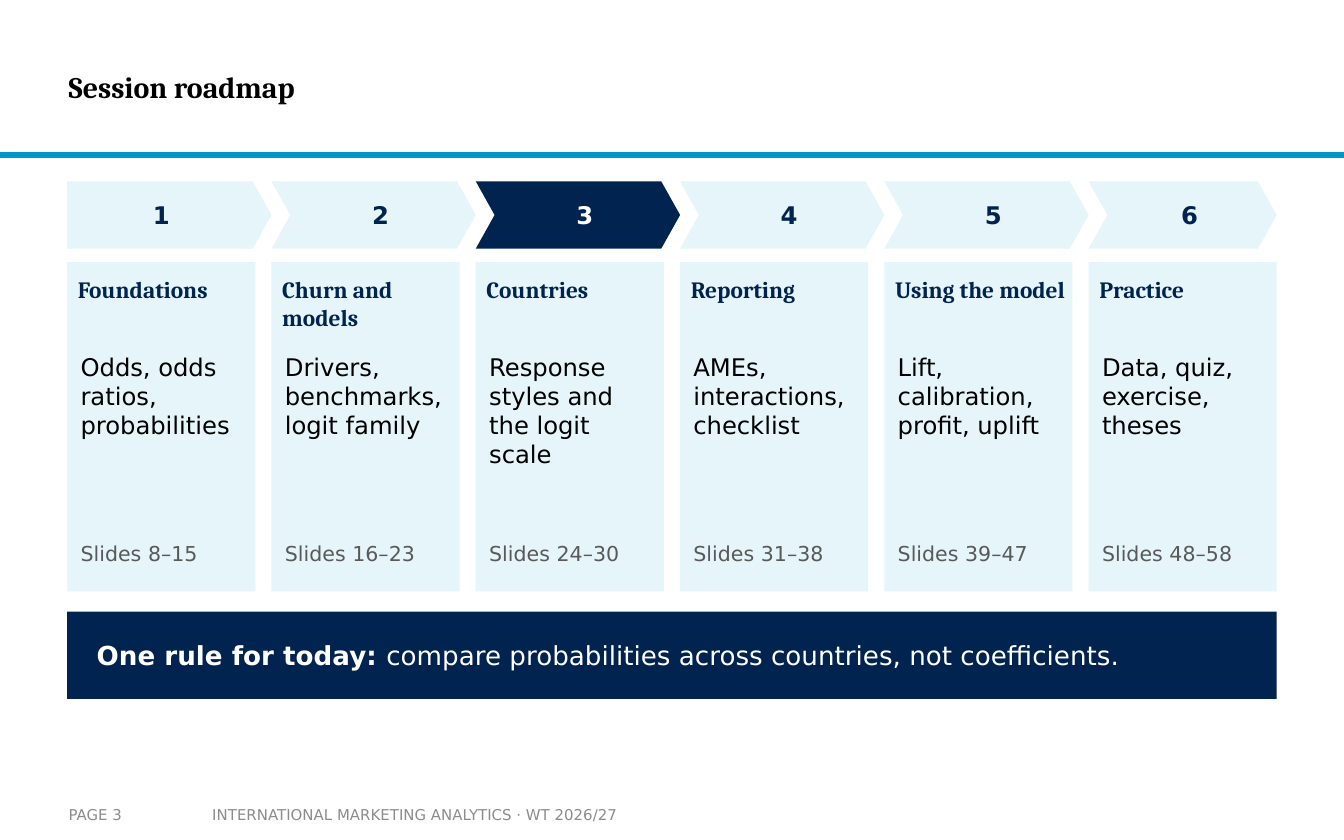
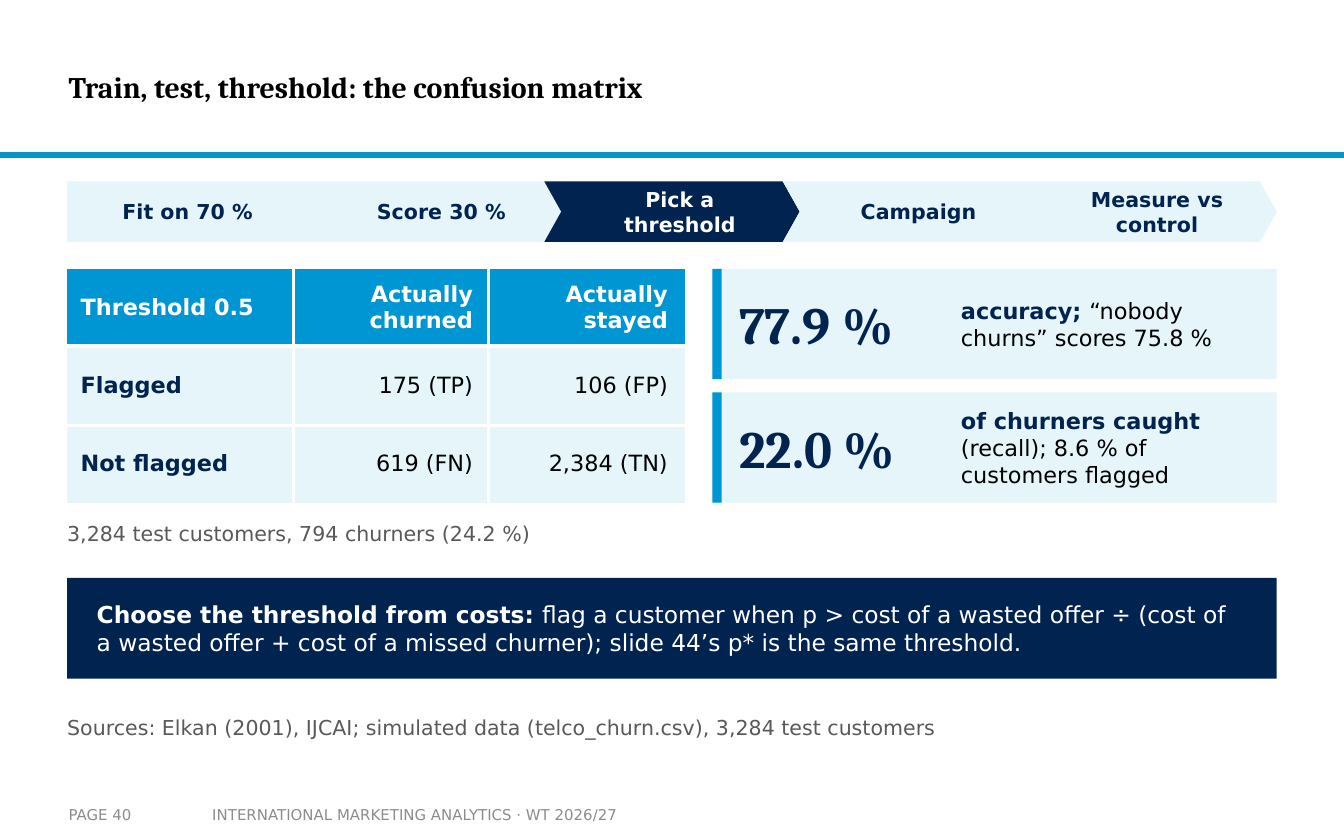
from lxml import etree
from pptx import Presentation
from pptx.dml.color import RGBColor
from pptx.enum.shapes import MSO_SHAPE
from pptx.enum.text import MSO_ANCHOR, PP_ALIGN
from pptx.oxml.ns import qn
from pptx.util import Pt

RECT, PENTAGON, CHEVRON = MSO_SHAPE.RECTANGLE, MSO_SHAPE.PENTAGON, MSO_SHAPE.CHEVRON
TOP, MIDDLE = MSO_ANCHOR.TOP, MSO_ANCHOR.MIDDLE
LEFT, CENTER, RIGHT = PP_ALIGN.LEFT, PP_ALIGN.CENTER, PP_ALIGN.RIGHT

SERIF, SANS = "Cambria", "DejaVu Sans"
NAVY, BLUE, TEAL, PALE = "002350", "0096D3", "0C94B7", "E5F5FA"
BLACK, WHITE, GREY, LIGHT_GREY = "000000", "FFFFFF", "595959", "8C8C8C"

PAGE_W, PAGE_H = 720, 450
MARGIN = 36
BODY_W = PAGE_W - 2 * MARGIN
STEPS_TOP = 97.2


def rgb(value):
    return RGBColor.from_string(value)


def style(size, color, bold=False, name=SANS):
    return {"size": Pt(size), "color": color, "bold": bold, "name": name}


TITLE = style(16, BLACK, True, SERIF)
FOOTER = style(8, LIGHT_GREY)
NOTE = style(11, GREY)


def write(tf, runs, align=LEFT, after=0):
    """Write (text, style) runs as one paragraph."""
    p = tf.paragraphs[0]
    p.alignment = align
    p.space_after = Pt(after)
    for text, look in runs:
        for i, line in enumerate(text.split("\n")):
            if i:
                p.add_line_break()
            r = p.add_run()
            r.text = line
            for key, value in look.items():
                if key == "color":
                    r.font.color.rgb = rgb(value)
                else:
                    setattr(r.font, key, value)


def set_frame(tf, anchor, insets):
    left, top, right, bottom = insets
    frame = {"word_wrap": True, "vertical_anchor": anchor,
             "margin_left": Pt(left), "margin_top": Pt(top),
             "margin_right": Pt(right), "margin_bottom": Pt(bottom)}
    for key, value in frame.items():
        setattr(tf, key, value)


def add_text(s, box, runs, anchor=MIDDLE, insets=(0, 0, 0, 0), after=0):
    tf = s.shapes.add_textbox(*map(Pt, box)).text_frame
    set_frame(tf, anchor, insets)
    write(tf, runs, after=after)


def add_block(s, box, fill, kind=RECT, line=None):
    sp = s.shapes.add_shape(kind, *map(Pt, box))
    sp.shadow.inherit = False
    sp.fill.solid()
    sp.fill.fore_color.rgb = rgb(fill)
    if line:
        sp.line.color.rgb = rgb(line)
        sp.line.width = Pt(1)
    else:
        sp.line.fill.background()
    return sp


def add_page(prs, title, number):
    """Blank slide with title, rule and footer."""
    s = prs.slides.add_slide(prs.slide_layouts[6])
    add_block(s, (0, 82.1, PAGE_W, 2.2), TEAL, line=BLUE)
    add_text(s, (36.7, 10.8, 538.6, 71.3), [(title, TITLE)])
    add_text(s, (106.6, 426.2, 253.4, 20.2),
             [("INTERNATIONAL MARKETING ANALYTICS · WT 2026/27", FOOTER)],
             insets=(7.2, 3.6, 7.2, 3.6))
    add_text(s, (36.7, 426.2, 70.6, 20.2), [(f"PAGE {number}", FOOTER)],
             insets=(0, 3.6, 0, 3.6))
    return s


def add_steps(s, box, labels, active, size, step_w, last_w, pads):
    """Row of arrows; pads are left of the first, left of the others, right."""
    x, y, w, h = box
    pitch = (w - last_w) / (len(labels) - 1)
    first_pad, notch_pad, right_pad = pads
    for i, label in enumerate(labels):
        width = last_w if i == len(labels) - 1 else step_w
        sp = add_block(s, (x + i * pitch, y, width, h),
                       NAVY if i == active else PALE, CHEVRON if i else PENTAGON)
        sp.adjustments[0] = 0.28
        set_frame(sp.text_frame, MIDDLE,
                  (notch_pad if i else first_pad, 1.44, right_pad, 1.44))
        color = WHITE if i == active else NAVY
        write(sp.text_frame, [(label, style(size, color, True))], CENTER)


def add_card(s, box, heading, topics, pages):
    x, y, w, h = box
    add_block(s, box, PALE)
    add_text(s, (x + 5.76, y + 7.2, w - 7.2, 36),
             [(heading, style(12.5, NAVY, True, SERIF))], TOP)
    inner_w = w - 11.52
    add_text(s, (x + 7.2, y + 48.24, inner_w, 75.6),
             [(topics, style(13, BLACK))], TOP, after=2)
    add_text(s, (x + 7.2, y + h - 30.96, inner_w, 21.6), [(pages, NOTE)], after=4)


def add_banner(s, box, lead, text, size):
    x, y, w, h = box
    add_block(s, box, NAVY)
    add_text(s, (x + 15.84, y, w - 31.68, h),
             [(lead, style(size, WHITE, True)), (text, style(size, WHITE))], after=4)


def add_figure(s, box, figure, lead, text):
    """Key figure with an accent bar and its explanation."""
    x, y, w, h = box
    add_block(s, box, PALE)
    add_block(s, (x, y, 5.04, h), BLUE)
    add_text(s, (x + 14.4, y, 118.8, h),
             [(figure, style(28, NAVY, True, SERIF))], after=4)
    add_text(s, (x + 133.2, y, w - 140.4, h),
             [(lead, style(12, NAVY, True)), (text, style(12, BLACK))], after=4)


def set_border(cell, side, visible):
    ln = etree.SubElement(cell._tc.get_or_add_tcPr(), qn(f"a:{side}"), w=str(Pt(2.2)))
    if visible:
        fill = etree.SubElement(ln, qn("a:solidFill"))
        etree.SubElement(fill, qn("a:srgbClr"), val=WHITE)
    else:
        etree.SubElement(ln, qn("a:noFill"))


def add_matrix(s, box, rows, col_widths, row_heights):
    """Confusion matrix with white lines between the cells."""
    n_rows, n_cols = len(rows), len(rows[0])
    table = s.shapes.add_table(n_rows, n_cols, *map(Pt, box)).table
    table.first_row = table.horz_banding = False
    for col, width in zip(table.columns, col_widths):
        col.width = Pt(width)
    for row, height in zip(table.rows, row_heights):
        row.height = Pt(height)
    for i, row in enumerate(rows):
        for j, text in enumerate(row):
            cell = table.cell(i, j)
            inner = {"lnL": j > 0, "lnR": j < n_cols - 1,
                     "lnT": i > 0, "lnB": i < n_rows - 1}
            for side, visible in inner.items():
                set_border(cell, side, visible)
            cell.fill.solid()
            cell.fill.fore_color.rgb = rgb(PALE if i else BLUE)
            look = {"vertical_anchor": MIDDLE, "margin_top": 0, "margin_bottom": 0,
                    "margin_left": Pt(8.3 if j else 7.2),
                    "margin_right": Pt(9.4 if j == n_cols - 1 else 8.3)}
            for key, value in look.items():
                setattr(cell, key, value)
            color = WHITE if i == 0 else BLACK if j else NAVY
            write(cell.text_frame, [(text, style(12, color, i == 0 or j == 0))],
                  RIGHT if j else LEFT, after=4)


def build_roadmap(prs):
    s = add_page(prs, "Session roadmap", 3)
    sessions = [
        ("Foundations", "Odds, odds ratios, probabilities", "Slides 8–15"),
        ("Churn and models", "Drivers, benchmarks, logit family", "Slides 16–23"),
        ("Countries", "Response styles and the logit scale", "Slides 24–30"),
        ("Reporting", "AMEs, interactions, checklist", "Slides 31–38"),
        ("Using the model", "Lift, calibration, profit, uplift", "Slides 39–47"),
        ("Practice", "Data, quiz, exercise, theses", "Slides 48–58"),
    ]
    card_w = 100.8
    pitch = (BODY_W - card_w) / (len(sessions) - 1)
    numbers = [str(i + 1) for i in range(len(sessions))]
    add_steps(s, (MARGIN, STEPS_TOP, BODY_W, 36), numbers, active=2, size=13,
              step_w=pitch, last_w=card_w, pads=(3.6, 14.4, 7.2))
    for i, session in enumerate(sessions):
        add_card(s, (MARGIN + i * pitch, 140.4, card_w, 176.4), *session)
    add_banner(s, (MARGIN, 327.6, BODY_W, 46.8), "One rule for today: ",
               "compare probabilities across countries, not coefficients.", 14)


def build_confusion_matrix(prs):
    s = add_page(prs, "Train, test, threshold: the confusion matrix", 40)
    stages = ["Fit on 70 %", "Score 30 %", "Pick a\nthreshold", "Campaign",
              "Measure vs\ncontrol"]
    add_steps(s, (MARGIN, STEPS_TOP, BODY_W, 32.4), stages, active=2, size=11,
              step_w=136.8, last_w=136.8, pads=(7.2, 18.72, 10.08))

    # Counts at the threshold
    counts = [("Threshold 0.5", "Actually churned", "Actually stayed"),
              ("Flagged", "175 (TP)", "106 (FP)"),
              ("Not flagged", "619 (FN)", "2,384 (TN)")]
    add_matrix(s, (MARGIN, 144, 331.2, 125.3), counts,
               (121.3, 104.4, 105.5), (41.4, 42.5, 41.4))
    add_text(s, (MARGIN, 275, 331.2, 21.6),
             [("3,284 test customers, 794 churners (24.2 %)", NOTE)], after=4)

    # Key figures
    figures = [("77.9 %", "accuracy; ", "“nobody churns” scores 75.8 %"),
               ("22.0 %", "of churners caught ",
                "(recall); 8.6 % of customers flagged")]
    for i, figure in enumerate(figures):
        add_figure(s, (381.6, 144 + i * 66.24, 302.4, 59.04), *figure)

    add_banner(s, (MARGIN, 309.6, BODY_W, 54), "Choose the threshold from costs: ",
               "flag a customer when p > cost of a wasted offer ÷ (cost of a wasted "
               "offer + cost of a missed churner); slide 44’s p* is the same "
               "threshold.", 12.5)
    add_text(s, (MARGIN, 379.44, BODY_W, 20.16),
             [("Sources: Elkan (2001), IJCAI; simulated data (telco_churn.csv), "
               "3,284 test customers", NOTE)])


def main():
    prs = Presentation()
    prs.slide_width, prs.slide_height = Pt(PAGE_W), Pt(PAGE_H)
    build_roadmap(prs)
    build_confusion_matrix(prs)
    prs.save("out.pptx")


if __name__ == "__main__":
    main()
